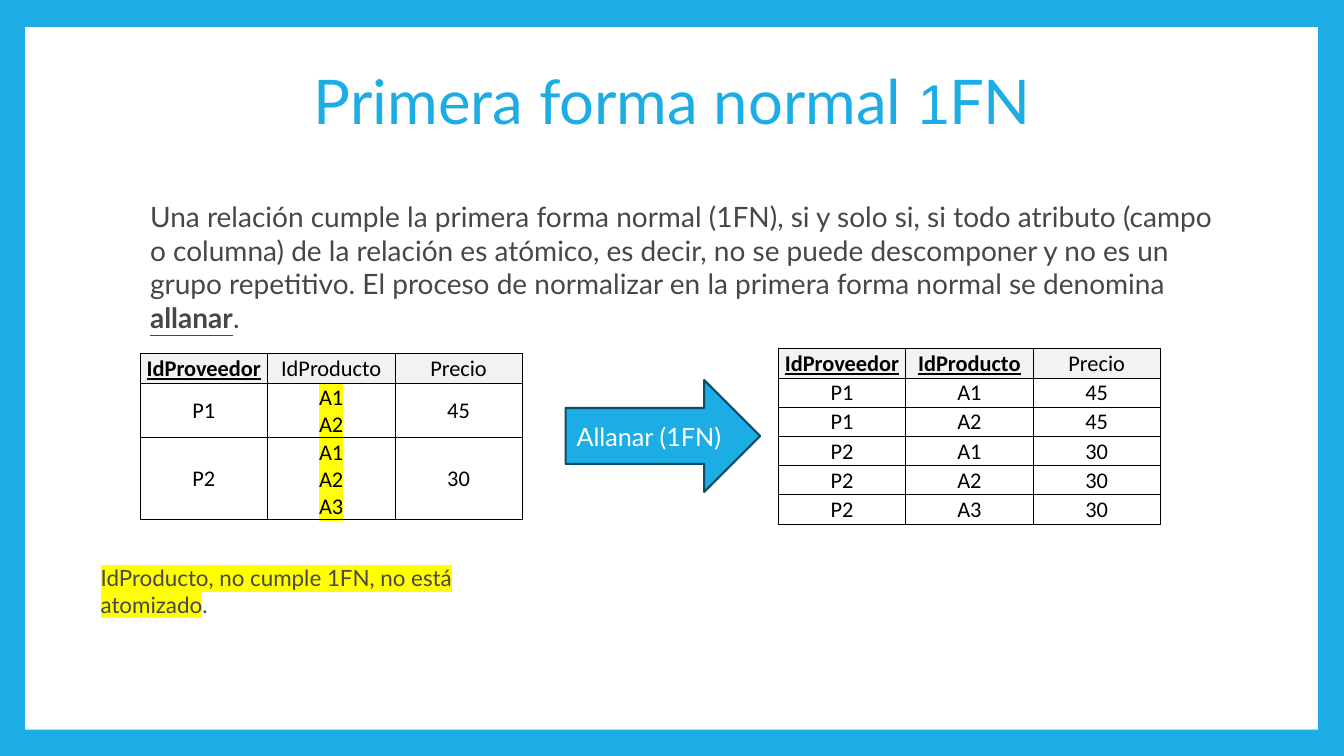
from lxml.etree import SubElement
from pptx import Presentation
from pptx.dml.color import RGBColor
from pptx.enum.shapes import MSO_SHAPE as Preset
from pptx.enum.text import MSO_ANCHOR as Anchor, MSO_AUTO_SIZE as AutoSize, PP_ALIGN as Align
from pptx.oxml import parse_xml
from pptx.oxml.ns import nsdecls, qn
from pptx.util import Inches, Pt

COLORS = {
    "blue": "1CADE4",
    "navy": "0C4C64",
    "white": "FFFFFF",
    "gray": "474747",
    "header": "F2F2F2",
    "black": "000000",
    "yellow": "FFFF00",
}
KEY = {"bold": True, "underline": True}
MARKED = {"highlight": "yellow"}
TITLE = {"size": 44, "name": "Lato", "color": "blue"}
BODY = {"size": 20, "name": "Lato", "color": "gray"}
NOTE = {**BODY, "size": 16}
ARROW = {"size": 18, "name": "Lato", "color": "white"}
CELL = {"size": 16, "name": "Calibri", "color": "black", "bold": False}


def rgb(name):
    return RGBColor.from_string(COLORS[name])


def set_attributes(target, values):
    for name, value in values.items():
        setattr(target, name, value)


def place(shape, left, top, width, height):
    box = {"left": left, "top": top, "width": width, "height": height}
    set_attributes(shape, {name: Inches(value) for name, value in box.items()})


def add_run(paragraph, text, style):
    style = dict(style)
    color, highlight = style.pop("color"), style.pop("highlight", None)
    style["size"] = Pt(style["size"])
    run = paragraph.add_run()
    run.text = text
    set_attributes(run.font, style)
    run.font.color.rgb = rgb(color)
    if highlight:
        run.font._element.find(qn("a:latin")).addprevious(parse_xml(
            f'<a:highlight {nsdecls("a")}><a:srgbClr val="{COLORS[highlight]}"/></a:highlight>'))


def fill_paragraph(paragraph, base, runs, **layout):
    """Write (text, style changes) pairs on top of a base style."""
    set_attributes(paragraph, layout)
    for text, changes in runs:
        add_run(paragraph, text, {**base, **changes})


def add_shape(slide, preset, box, fill):
    shape = slide.shapes.add_shape(preset, *map(Inches, box))
    shape.shadow.inherit = False
    shape.fill.solid()
    shape.fill.fore_color.rgb = rgb(fill)
    shape.line.fill.background()
    return shape


def add_text(slide, box, base, runs):
    frame = slide.shapes.add_textbox(*map(Inches, box)).text_frame
    set_attributes(frame, {"word_wrap": True, "auto_size": AutoSize.SHAPE_TO_FIT_TEXT})
    fill_paragraph(frame.paragraphs[0], base, runs)


def set_borders(cell):
    properties = cell._tc.get_or_add_tcPr()
    for index, side in enumerate(("lnL", "lnR", "lnT", "lnB")):
        line = parse_xml(f'<a:{side} {nsdecls("a")} w="{Pt(0.5)}"/>')
        solid = SubElement(line, qn("a:solidFill"))
        SubElement(solid, qn("a:srgbClr")).set("val", COLORS["black"])
        properties.insert(index, line)


def format_cell(cell, text, style, is_header):
    margin = Inches(0.01)
    set_attributes(cell, {
        "margin_left": margin, "margin_right": margin, "margin_top": margin, "margin_bottom": 0,
        "vertical_anchor": Anchor.BOTTOM if is_header else Anchor.MIDDLE,
    })
    if is_header:
        cell.fill.solid()
        cell.fill.fore_color.rgb = rgb("header")
    else:
        cell.fill.background()
    set_borders(cell)
    cell.text = text
    for paragraph, line in zip(cell.text_frame.paragraphs, text.split("\n")):
        paragraph.clear()
        fill_paragraph(paragraph, CELL, [(line, style)], alignment=Align.CENTER)


def add_table(slide, left, top, rows, heights, keys):
    """Add a relation whose first `keys` header cells are key columns."""
    frame = slide.shapes.add_table(len(rows), len(rows[0]), Inches(left), Inches(top),
                                   Inches(3.79), Inches(sum(heights)))
    table = frame.table
    set_attributes(table, {"first_row": False, "horz_banding": False})
    for row_index, (row, height) in enumerate(zip(rows, heights)):
        table.rows[row_index].height = Inches(height)
        for column, text in enumerate(row):
            is_header = row_index == 0
            style = KEY if is_header and column < keys else MARKED if "\n" in text else {}
            format_cell(table.cell(row_index, column), text, style, is_header)


def add_title(slide):
    title = slide.shapes.title
    place(title, 1.27, 0.3, 10.8, 1.48)
    title.text_frame.vertical_anchor = Anchor.MIDDLE
    runs = [("Primera forma normal ", {}), ("1", {"size": 40, "name": "Arial"}), ("FN", {})]
    fill_paragraph(title.text_frame.paragraphs[0], TITLE, runs,
                   alignment=Align.CENTER, line_spacing=0.9)


def add_arrow(slide):
    arrow = add_shape(slide, Preset.RIGHT_ARROW, (5.61, 3.77, 1.93, 1.11), "blue")
    arrow.line.color.rgb = rgb("navy")
    arrow.line.width = Pt(1.5)
    arrow.text_frame.vertical_anchor = Anchor.MIDDLE
    fill_paragraph(arrow.text_frame.paragraphs[0], ARROW, [("Allanar (1FN)", {})],
                   alignment=Align.CENTER)


def main():
    presentation = Presentation()
    set_attributes(presentation, {"slide_width": Inches(13.33), "slide_height": Inches(7.5)})
    slide = presentation.slides.add_slide(presentation.slide_layouts[5])
    slide.background.fill.solid()
    slide.background.fill.fore_color.rgb = rgb("blue")

    panel = add_shape(slide, Preset.RECTANGLE, (0.25, 0.27, 12.82, 6.97), "white")
    slide.shapes.title.element.addprevious(panel.element)
    add_title(slide)
    add_text(slide, (1.39, 1.93, 10.8, 1.11), BODY, [
        ("Una relación cumple la primera forma normal (1FN), si y solo si, si todo atributo "
         "(campo o columna) de la relación es atómico, es decir, no se puede descomponer y no "
         "es un grupo repetitivo. El proceso de normalizar en la primera forma normal se "
         "denomina ", {}),
        ("allanar", KEY),
        (".", {}),
    ])

    header = ("IdProveedor", "IdProducto", "Precio")
    suppliers = [("P1", ("A1", "A2"), "45"), ("P2", ("A1", "A2", "A3"), "30")]
    grouped = [(supplier, "\n".join(products), price) for supplier, products, price in suppliers]
    flat = [(supplier, product, price)
            for supplier, products, price in suppliers for product in products]
    add_table(slide, 1.39, 3.51, [header, *grouped], [0.29, 0.54, 0.81], keys=1)
    add_table(slide, 7.72, 3.46, [header, *flat], [0.29] * 6, keys=2)
    add_arrow(slide)
    add_text(slide, (0.9, 5.55, 4.77, 0.37), NOTE, [
        ("IdProducto, no cumple 1FN, no está atomizado", MARKED),
        (".", {}),
    ])
    presentation.save("out.pptx")


if __name__ == "__main__":
    main()
